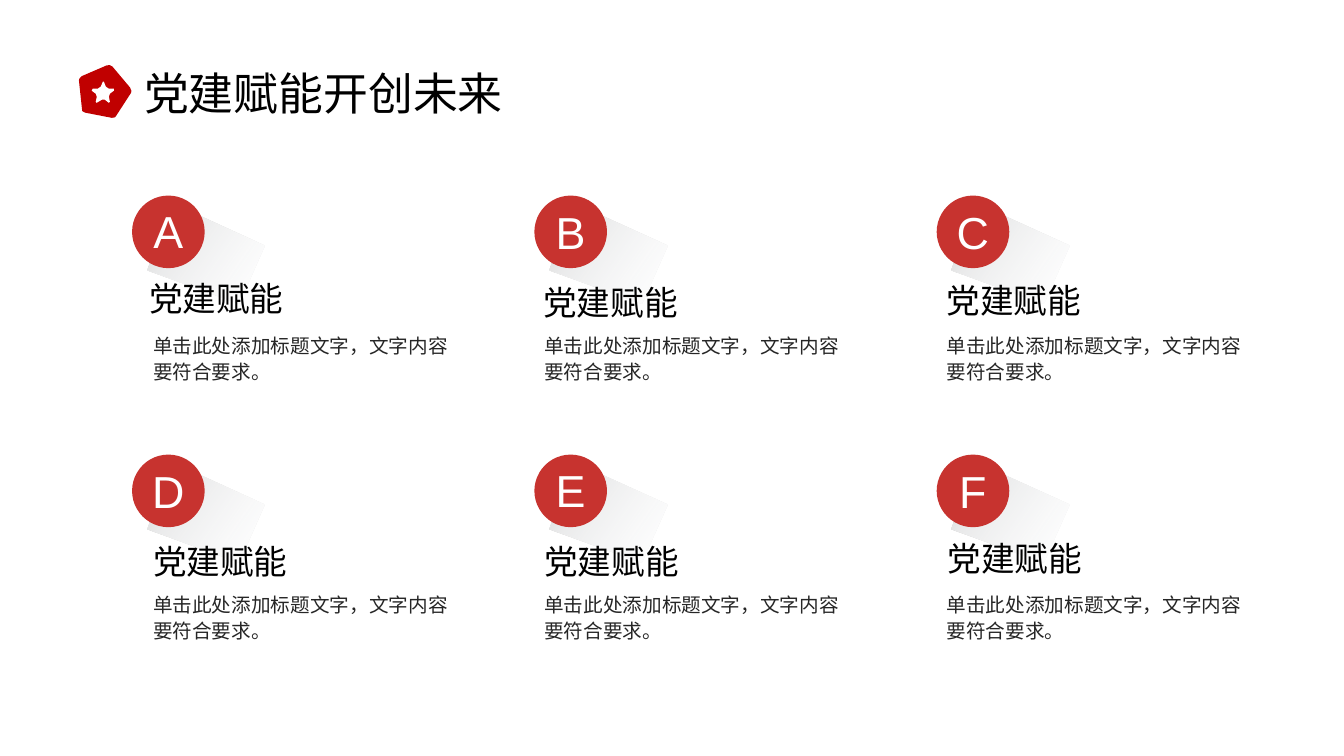
from lxml import etree
from pptx import Presentation
from pptx import util as u
from pptx.dml.color import RGBColor
from pptx.enum import shapes, text
from pptx.oxml.ns import qn

BADGE_RED = RGBColor(0xC0, 0x00, 0x00)
DISC_RED = RGBColor(0xC7, 0x33, 0x2F)
WHITE = RGBColor(0xFF, 0xFF, 0xFF)
BLACK = RGBColor(0x00, 0x00, 0x00)
BODY_GREY = RGBColor(0x26, 0x26, 0x26)
SHADE_STOPS = [
    (0, RGBColor(0xF6, 0xF8, 0xFC), 0),
    (65, RGBColor(0xCC, 0xCD, 0xCE), 40),
    (100, RGBColor(0xBF, 0xBF, 0xBF), 100),
]

TITLE = "党建赋能开创未来"
HEADING = "党建赋能"
BODY = "单击此处添加标题文字，文字内容要符合要求。"

PENTAGON = [
    (0.44, 0.48), (0.54, 0.23), (0.54, 0.21), (0.52, 0.18), (0.31, 0.01),
    (0.28, 0), (0.25, 0.01), (0.03, 0.16), (0.01, 0.19), (0.01, 0.21),
    (0.09, 0.47), (0.1, 0.5), (0.13, 0.51), (0.4, 0.51), (0.43, 0.5),
]
STAR = [
    (0.26, 0.17), (0.27, 0.17), (0.29, 0.22), (0.32, 0.24), (0.37, 0.24),
    (0.37, 0.26), (0.33, 0.29), (0.32, 0.32), (0.33, 0.37), (0.32, 0.38),
    (0.28, 0.35), (0.25, 0.35), (0.2, 0.38), (0.19, 0.37), (0.2, 0.32),
    (0.19, 0.29), (0.15, 0.26), (0.16, 0.24), (0.21, 0.24), (0.24, 0.22),
]
LONG_SHADE = [(0.13, 0.64), (0.47, 0.02), (1.32, 0.6), (0.97, 1.12)]

COLUMN_LEFT, COLUMN_STEP = 1.31, 3.99
ROW_TOP, ROW_STEP = 1.94, 2.57
BODY_INDENTS = [0.11, 0, 0]
CARDS = [
    ("A", 0.03, 0.07, 0.81), ("B", 0.04, -0.01, 0.85), ("C", 0.04, 0, 0.83),
    ("D", 0.04, 0.11, 0.85), ("E", 0.03, 0, 0.85), ("F", 0.04, 0.01, 0.82),
]


def place(box, left, top, width, height):
    """Set the position and size of a box in inches."""
    box.left, box.top = u.Inches(left), u.Inches(top)
    box.width, box.height = u.Inches(width), u.Inches(height)


def write(box, words, size, color, align=None, spacing=None):
    """Fill a box with one formatted paragraph."""
    frame = box.text_frame
    frame.text = words
    frame.word_wrap = True
    frame.auto_size = text.MSO_AUTO_SIZE.SHAPE_TO_FIT_TEXT
    frame.vertical_anchor = text.MSO_ANCHOR.TOP
    para = frame.paragraphs[0]
    para.alignment = align
    para.line_spacing = spacing
    font = para.runs[0].font
    font.size, font.name = u.Pt(size), "Arial"
    font.color.rgb = color


def add_label(page, area, *style):
    """Add a text box in the given area."""
    box = page.shapes.add_textbox(*(u.Inches(length) for length in area))
    write(box, *style)


def paint(shape, color):
    """Give a shape a plain fill without outline or shadow."""
    shape.shadow.inherit = False
    shape.line.fill.background()
    shape.fill.solid()
    shape.fill.fore_color.rgb = color


def add_outline(page, left, top, points, color):
    """Add a closed polygon whose points are relative to left and top."""
    corners = [(u.Inches(left + x), u.Inches(top + y)) for x, y in points]
    builder = page.shapes.build_freeform(*corners[0])
    builder.add_line_segments(corners[1:])
    outline = builder.convert_to_shape()
    paint(outline, color)
    return outline


def fade(shape):
    """Replace the fill of a shape by the transparent shade gradient."""
    shape.fill.gradient()
    gradient = shape.element.spPr.find(qn("a:gradFill"))
    for child in list(gradient):
        gradient.remove(child)
    stops = etree.SubElement(gradient, qn("a:gsLst"))
    for position, color, opacity in SHADE_STOPS:
        stop = etree.SubElement(stops, qn("a:gs"), pos=str(position * 1000))
        tint = etree.SubElement(stop, qn("a:srgbClr"), val=str(color))
        etree.SubElement(tint, qn("a:alpha"), val=str(opacity * 1000))
    etree.SubElement(gradient, qn("a:lin"), ang=str(225 * 60000), scaled="0")


def add_header(page, left, top):
    """Place the star badge and the slide title."""
    pentagon = add_outline(page, left, top, PENTAGON, BADGE_RED)
    pentagon.rotation = 11
    add_outline(page, left, top, STAR, WHITE)
    title = page.shapes.title
    place(title, left + 0.57, top - 0.04, 3.86, 0.64)
    write(title, TITLE, 32, BLACK, text.PP_ALIGN.JUSTIFY)


def add_card(page, left, top, card, body_indent):
    """Place one lettered disc with its shade, heading and body text."""
    letter, letter_drop, heading_indent, heading_drop = card
    shade = add_outline(page, left, top, LONG_SHADE, WHITE)
    shade.rotation = 350.1
    fade(shade)
    disc = page.shapes.add_shape(
        shapes.MSO_SHAPE.OVAL, u.Inches(left), u.Inches(top), u.Inches(0.72), u.Inches(0.72))
    paint(disc, DISC_RED)
    add_label(page, (left - 0.11, top + letter_drop, 0.94, 0.64),
              letter, 32, WHITE, text.PP_ALIGN.CENTER)
    add_label(page, (left + body_indent, top + 1.31, 3.2, 0.61),
              BODY, 14, BODY_GREY, None, u.Pt(18))
    add_label(page, (left + heading_indent, top + heading_drop, 1.66, 0.46),
              HEADING, 24, BLACK, None, 0.9)


def main():
    """Build the slide and save it."""
    deck = Presentation()
    deck.slide_width, deck.slide_height = u.Inches(13.33), u.Inches(7.5)
    page = deck.slides.add_slide(deck.slide_layouts.get_by_name("Title Only"))
    add_header(page, 0.76, 0.64)
    for index, card in enumerate(CARDS):
        row, column = divmod(index, 3)
        add_card(page, COLUMN_LEFT + column * COLUMN_STEP, ROW_TOP + row * ROW_STEP,
                 card, BODY_INDENTS[column])
    deck.save("out.pptx")


if __name__ == "__main__":
    main()
